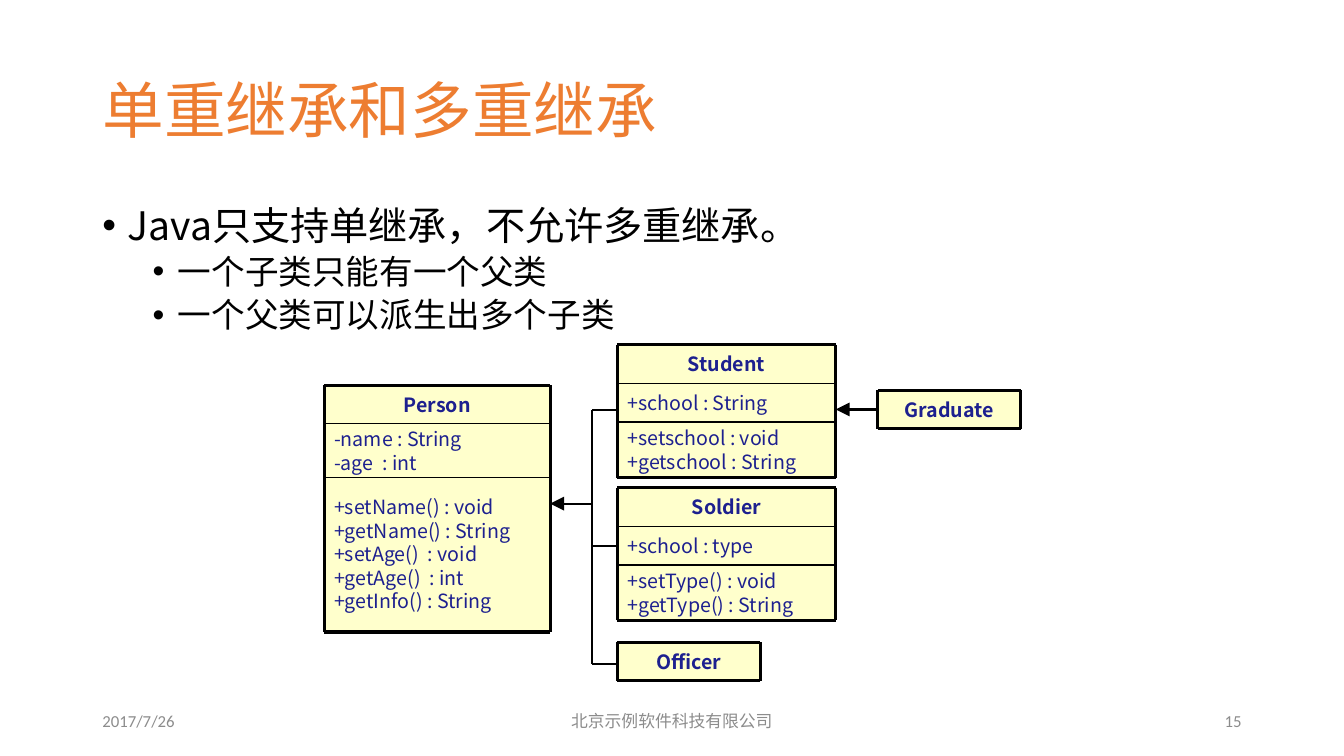
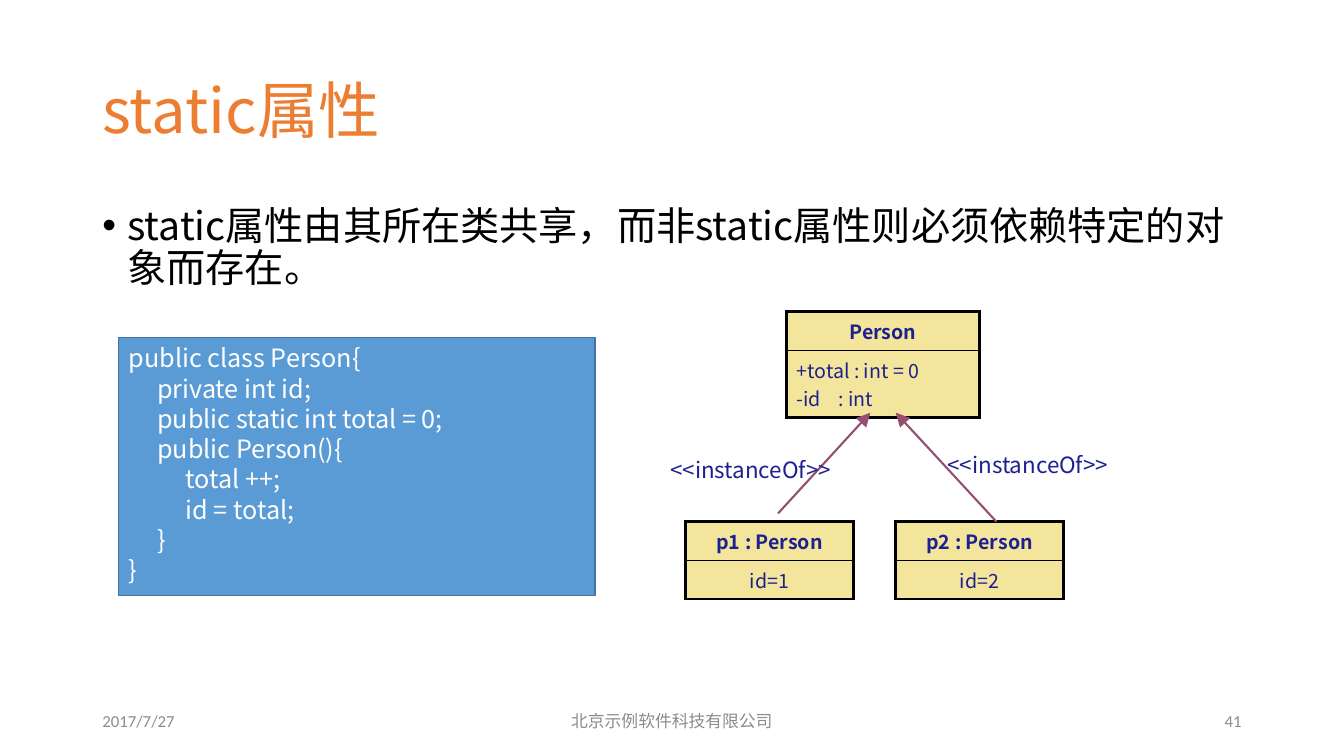
from dataclasses import dataclass

from lxml import etree
from pptx import Presentation
from pptx.dml.color import RGBColor
from pptx.enum.shapes import MSO_CONNECTOR, MSO_SHAPE
from pptx.enum.text import MSO_ANCHOR, MSO_AUTO_SIZE, PP_ALIGN
from pptx.oxml.ns import qn
from pptx.util import Inches, Pt

COLORS = {
    "title": "ED7D31", "text": "000000", "footer": "8C8C8C", "line": "000000",
    "class_fill": "FFFFCC", "class_text": "1D208F", "object_fill": "F4E59C",
    "arrow": "954F72", "code_fill": "5B9BD5", "code_line": "43739E", "code_text": "FFFFFF",
}
FONT, FOOTER_FONT = "Noto Sans CJK SC", "Calibri"
COLUMNS, ROWS = 160, 90
CELL = Inches(1) / 12
LINE_HEIGHT = 1.2
LABEL_ROWS = 4.6
COMPANY = "北京示例软件科技有限公司"


def grid(cells):
    """Convert grid cells to a slide length."""
    return round(cells * CELL)


@dataclass
class Box:
    """A rectangle measured in grid columns and rows."""
    x: float
    y: float
    w: float
    h: float

    def place(self):
        """Return left, top, width and height as slide lengths."""
        return tuple(grid(n) for n in (self.x, self.y, self.w, self.h))

    def sub(self, dx, dy, w, h):
        """Return a box offset from this one's top left corner."""
        return Box(self.x + dx, self.y + dy, w, h)

    def left(self, share=0.5):
        """Return the point at a share of the left side."""
        return self.x, self.y + self.h * share

    def right(self, share=0.5):
        """Return the point at a share of the right side."""
        return self.x + self.w, self.y + self.h * share


TITLE = Box(11, 4.8, 104.3, 17.4)
BODY = Box(11, 23.9, 138, 57)
FOOTER = Box(11, 83.4, 138, 4.8)


def rgb(name):
    """Look up a named colour."""
    return RGBColor.from_string(COLORS[name])


def write(frame, lines, size, color, font=FONT, bold=False,
          align=PP_ALIGN.LEFT, spacing=None):
    """Write one paragraph a line and return the paragraphs."""
    frame.word_wrap = True
    for i, line in enumerate(lines):
        paragraph = frame.paragraphs[0] if i == 0 else frame.add_paragraph()
        paragraph.alignment = align
        if spacing:
            paragraph.line_spacing = spacing
        run = paragraph.add_run()
        run.text = line
        run.font.size, run.font.bold, run.font.name = Pt(size), bold, font
        run.font.color.rgb = rgb(color)
        etree.SubElement(run.font._element, qn("a:ea"), typeface=font)
    return frame.paragraphs


def fixed(size, share=1):
    """Return an exact line height for a text size."""
    return Pt(size * LINE_HEIGHT * share)


def add_text(slide, box, lines, size, color, anchor=MSO_ANCHOR.TOP, **style):
    """Add a text box and return its paragraphs."""
    frame = slide.shapes.add_textbox(*box.place()).text_frame
    frame.vertical_anchor = anchor
    return write(frame, lines, size, color, **style)


def add_rect(slide, box, fill, line, width):
    """Add a filled rectangle."""
    rect = slide.shapes.add_shape(MSO_SHAPE.RECTANGLE, *box.place())
    rect.shadow.inherit = False
    rect.fill.solid()
    rect.fill.fore_color.rgb = rgb(fill)
    rect.line.color.rgb = rgb(line)
    rect.line.width = Pt(width)
    return rect


def add_line(slide, start, end, color="line", width=1.5, arrow=False):
    """Join two grid points, with an arrowhead at the end if asked."""
    link = slide.shapes.add_connector(
        MSO_CONNECTOR.STRAIGHT, *(grid(n) for n in (*start, *end)))
    link.line.color.rgb = rgb(color)
    link.line.width = Pt(width)
    if arrow:
        etree.SubElement(link.line._get_or_add_ln(), qn("a:tailEnd"),
                         type="triangle", w="lg", len="lg")
    etree.SubElement(link._element.spPr, qn("a:effectLst"))


def add_class(slide, box, name, *sections):
    """Draw a class: name, then (rows, lines) sections, in a heavy outline."""
    top, dividers = 0, []
    for i, (rows, lines) in enumerate([(LABEL_ROWS, [name]), *sections]):
        part = add_rect(slide, box.sub(0, top, box.w, rows), "class_fill", "line", 0.75)
        part.text_frame.vertical_anchor = MSO_ANCHOR.MIDDLE
        write(part.text_frame, lines, 14, "class_text", bold=i == 0, spacing=fixed(14),
              align=PP_ALIGN.LEFT if i else PP_ALIGN.CENTER)
        if i:
            dividers.append(top / box.h)
        top += rows
    for share in dividers:
        add_line(slide, box.left(share), box.right(share), width=1)
    corners = [box.left(0), box.right(0), box.right(1), box.left(1)]
    for start, end in zip(corners, corners[1:] + corners[:1]):
        add_line(slide, start, end, width=2.25)


def set_borders(cell, **widths):
    """Draw cell borders, given in points by side."""
    props = cell._tc.get_or_add_tcPr()
    for i, side in enumerate(("L", "R", "T", "B")):
        edge = etree.Element(qn("a:ln" + side), w=str(Pt(widths[side])))
        fill = etree.SubElement(edge, qn("a:solidFill"))
        etree.SubElement(fill, qn("a:srgbClr"), val=COLORS["line"])
        props.insert(i, edge)


def add_object(slide, box, name, fields, align=PP_ALIGN.CENTER):
    """Draw an object as a two-row table with its name above its fields."""
    table = slide.shapes.add_table(2, 1, *box.place()).table
    table.first_row = table.horz_banding = False
    table.rows[0].height = grid(LABEL_ROWS)
    table.rows[1].height = grid(box.h - LABEL_ROWS)
    for i, lines in enumerate(([name], fields)):
        cell = table.cell(i, 0)
        cell.fill.solid()
        cell.fill.fore_color.rgb = rgb("object_fill")
        cell.vertical_anchor = MSO_ANCHOR.MIDDLE
        paragraphs = write(cell.text_frame, lines, 14, "class_text", bold=i == 0,
                           align=align if i else PP_ALIGN.CENTER)
        for paragraph in paragraphs:
            if "\t" in paragraph.text:
                stops = etree.SubElement(paragraph._p.get_or_add_pPr(), qn("a:tabLst"))
                etree.SubElement(stops, qn("a:tab"), pos=str(grid(5)), algn="l")
        set_borders(cell, L=2.25, R=2.25, T=1 if i else 2.25, B=2.25 if i else 1)


def add_bullets(slide, box, items):
    """Write (level, text) bullets."""
    paragraphs = add_text(slide, box, [text for _, text in items], 28, "text")
    for paragraph, (level, _) in zip(paragraphs, items):
        size = (28, 24)[level]
        paragraph.level = level
        paragraph.runs[0].font.size = Pt(size)
        paragraph.line_spacing = fixed(size, 0.9)
        paragraph.space_before = Pt((10, 5)[level])
        props = paragraph._p.get_or_add_pPr()
        props.set("marL", str(grid(3 + 6 * level)))
        props.set("indent", str(grid(-3)))
        etree.SubElement(props, qn("a:buFont"), typeface="Arial")
        etree.SubElement(props, qn("a:buChar"), char="•")


def add_footer(slide, box, date, number):
    """Place date, company and slide number along the footer band."""
    parts = (
        (0, 36, date, FOOTER_FONT, PP_ALIGN.LEFT),
        (42, 54, COMPANY, FONT, PP_ALIGN.CENTER),
        (102, 36, number, FOOTER_FONT, PP_ALIGN.RIGHT),
    )
    for dx, width, text, font, align in parts:
        add_text(slide, box.sub(dx, 0, width, box.h), [text], 12, "footer",
                 anchor=MSO_ANCHOR.MIDDLE, font=font, align=align)


def start_slide(prs, title, bullets, date, number):
    """Add a slide with title, bullets and footer."""
    slide = prs.slides.add_slide(prs.slide_layouts[5])
    holder = slide.shapes.title
    holder.left, holder.top, holder.width, holder.height = TITLE.place()
    holder.text_frame.auto_size = MSO_AUTO_SIZE.NONE
    holder.text_frame.vertical_anchor = MSO_ANCHOR.MIDDLE
    write(holder.text_frame, [title], 44, "title", spacing=0.9)
    add_bullets(slide, BODY, bullets)
    add_footer(slide, FOOTER, date, number)
    return slide


def inheritance_diagram(slide, box):
    """Draw a parent class, its three subclasses and a grandchild."""
    person = box.sub(0, 4.8, 26.9, 29.4)
    student = box.sub(34.9, 0, 26, 15.8)
    soldier = box.sub(34.9, 17, 26, 15.8)
    officer = box.sub(34.9, 35.4, 17, LABEL_ROWS)
    graduate = box.sub(65.9, 5.4, 17, LABEL_ROWS)

    add_class(slide, person, "Person",
              (6.4, ["-name : String", "-age  : int"]),
              (18.2, ["+setName() : void", "+getName() : String", "+setAge()  : void",
                      "+getAge()  : int", "+getInfo() : String"]))
    add_class(slide, student, "Student", (LABEL_ROWS, ["+school : String"]),
              (6.6, ["+setschool : void", "+getschool : String"]))
    add_class(slide, soldier, "Soldier", (LABEL_ROWS, ["+school : type"]),
              (6.6, ["+setType() : void", "+getType() : String"]))
    add_class(slide, officer, "Officer")
    add_class(slide, graduate, "Graduate")

    trunk = box.x + 31.9
    joints = [student.left(0.49), soldier.left(0.44), officer.left(0.57)]
    for x, y in joints:
        add_line(slide, (trunk, y), (x, y))
    add_line(slide, (trunk, joints[0][1]), (trunk, joints[-1][1]))
    parent = person.right(0.48)
    add_line(slide, (trunk, parent[1]), parent, arrow=True)
    add_line(slide, graduate.left(), (student.right()[0], graduate.left()[1]), arrow=True)


def code_block(slide, box, lines):
    """Show (depth, text) code lines in a filled box."""
    block = add_rect(slide, box, "code_fill", "code_line", 1)
    block.text_frame.vertical_anchor = MSO_ANCHOR.TOP
    paragraphs = write(block.text_frame, [text for _, text in lines], 18, "code_text",
                       spacing=fixed(18))
    for paragraph, (depth, _) in zip(paragraphs, lines):
        props = paragraph._p.get_or_add_pPr()
        props.set("marL", str(grid(3.4 * depth)))
        props.set("indent", "0")


def instance_diagram(slide, box):
    """Draw a class with two instances pointing at it."""
    add_object(slide, box.sub(15, 0, 23, 12.6), "Person",
               ["+total : int = 0", "-id\t: int"], PP_ALIGN.LEFT)
    for i in range(2):
        add_object(slide, box.sub(3 + 25 * i, 25, 20, 2 * LABEL_ROWS),
                   f"p{i + 1} : Person", [f"id={i + 1}"])
    arrows = (((14, 24), (25, 12)), ((40, 25), (28, 12)))
    for ends in arrows:
        add_line(slide, *((box.x + dx, box.y + dy) for dx, dy in ends),
                 color="arrow", arrow=True)
    for dx, dy in ((0, 16.6), (33, 16)):
        add_text(slide, box.sub(dx, dy, 21.5, 4.4), ["<<instanceOf>>"], 16,
                 "class_text", spacing=fixed(16))


def main():
    """Build both slides and save them."""
    prs = Presentation()
    prs.slide_width, prs.slide_height = grid(COLUMNS), grid(ROWS)

    slide = start_slide(prs, "单重继承和多重继承", [
        (0, "Java只支持单继承，不允许多重继承。"),
        (1, "一个子类只能有一个父类"),
        (1, "一个父类可以派生出多个子类"),
    ], "2017/7/26", "15")
    inheritance_diagram(slide, Box(38.6, 41.05, 83, 40))

    slide = start_slide(prs, "static属性", [
        (0, "static属性由其所在类共享，而非static属性则必须依赖特定的对象而存在。"),
    ], "2017/7/27", "41")
    code_block(slide, Box(14.13, 40.2, 56.7, 30.7), [
        (0, "public class Person{"), (1, "private int id;"),
        (1, "public static int total = 0;"), (1, "public Person(){"),
        (2, "total ++;"), (2, "id = total;"), (1, "}"), (0, "}"),
    ])
    instance_diagram(slide, Box(78.63, 37.12, 54.5, 34.3))
    prs.save("out.pptx")


main()
